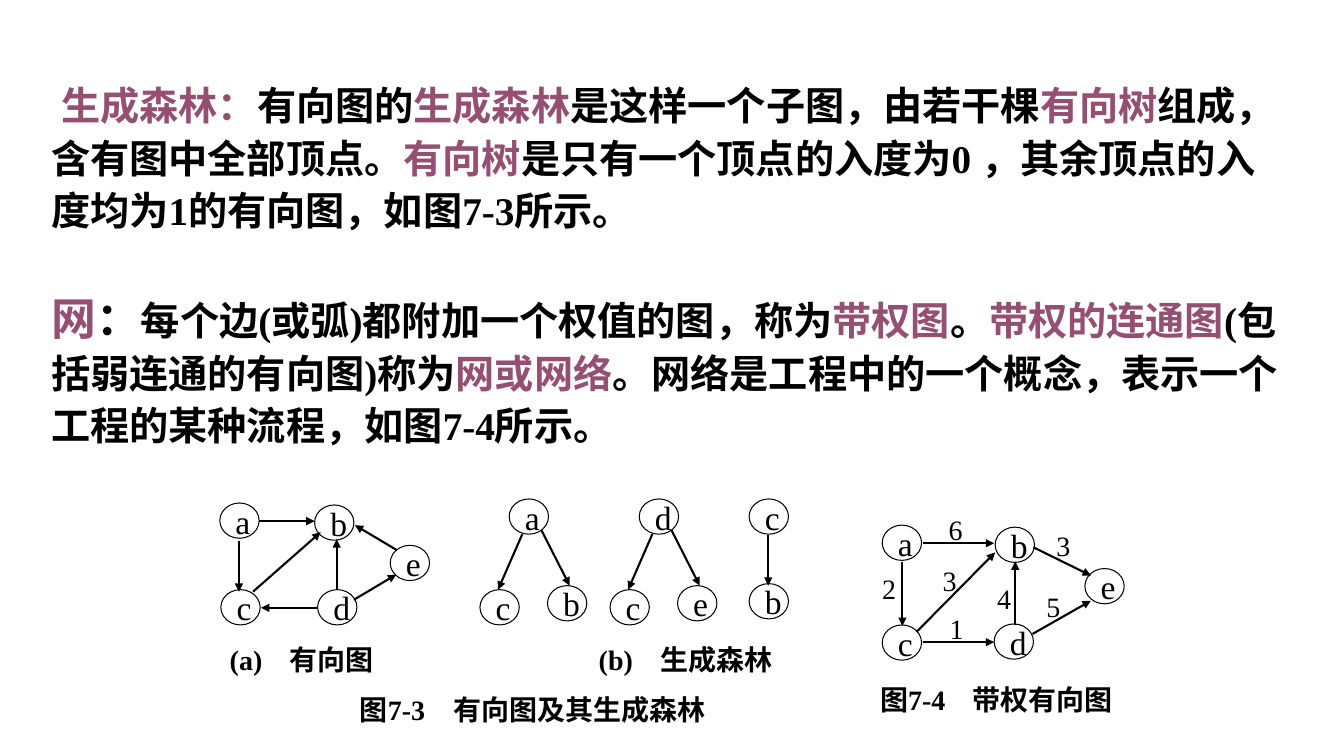
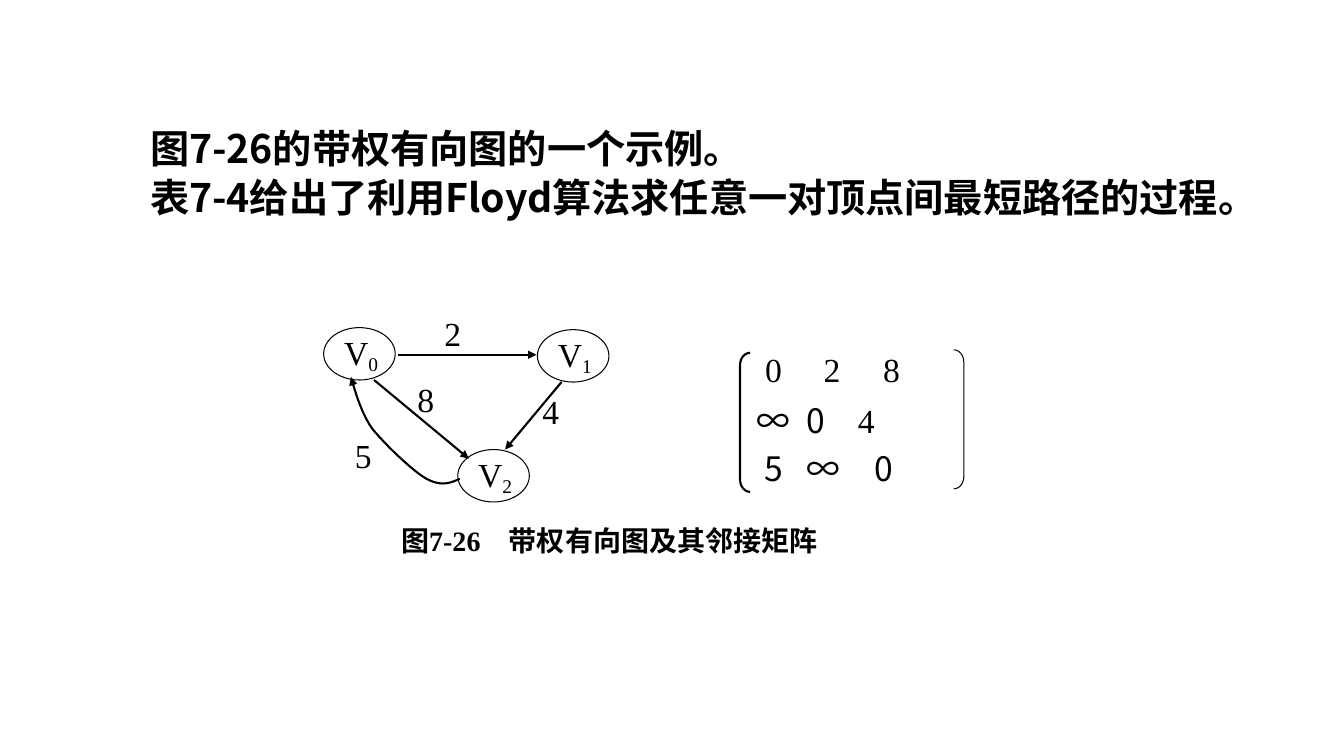
import itertools

import lxml.etree
import pptx
import pptx.dml.color
import pptx.enum.shapes
import pptx.enum.text
import pptx.oxml.ns
import pptx.util

PX = 9144
BLACK = pptx.dml.color.RGBColor(0x00, 0x00, 0x00)
PLUM = pptx.dml.color.RGBColor(0x95, 0x4F, 0x72)
SERIF = "Times New Roman"
SANS = "Noto Sans CJK SC"
SHAPES = pptx.enum.shapes.MSO_SHAPE
TERM = {"color": PLUM}

DEFINITIONS = [
    [
        ("生成森林：", TERM), "有向图的", ("生成森林", TERM),
        "是这样一个子图，由若干棵", ("有向树", TERM),
        "组成，含有图中全部顶点。", ("有向树", TERM),
        "是只有一个顶点的入度为0 ，其余顶点的入度均为1的有向图，如图7-3所示。",
    ],
    [
        ("网", {"color": PLUM, "size": 32}), ("：", {"size": 32}),
        "每个边(或弧)都附加一个权值的图，称为", ("带权图", TERM), "。",
        ("带权的连通图", TERM), "(包括弱连通的有向图)称为", ("网或网络", TERM),
        "。网络是工程中的一个概念，表示一个工程的某种流程，如图7-4所示。",
    ],
]
FLOYD_INTRO = [
    ["图7-26的带权有向图的一个示例。"],
    ["表7-4给出了利用Floyd算法求任意一对顶点间最短路径的过程。"],
]

DIRECTED_NODES = [
    ("a", 218, 499), ("b", 312, 501), ("c", 219, 585), ("d", 315, 585), ("e", 387, 541),
]
DIRECTED_EDGES = [
    (237, 537, 237, 587), (334, 585, 334, 535), (257, 517, 312, 517),
    (314, 603, 259, 603), (251, 587, 318, 528), (351, 595, 393, 570),
    (394, 546, 352, 521),
]
FOREST = [("a", "c", "b", 505), ("d", "c", "e", 634)]
FOREST_TOP = 495
CHAIN_NODES = [("c", 743, 495), ("b", 743, 579)]
CHAIN_EDGES = [(762, 531, 762, 581)]
WEIGHTED_NODES = [
    ("a", 875, 521), ("b", 987, 523), ("c", 875, 620), ("d", 986, 619), ("e", 1076, 564),
]
WEIGHTED_EDGES = [
    (895, 558, 895, 621), (1007, 620, 1007, 557), (915, 539, 986, 539),
    (915, 637, 986, 637), (909, 627, 987, 548), (1024, 629, 1082, 596),
    (1025, 543, 1082, 571),
]
WEIGHTS = [
    ("3", 1038, 525), ("5", 1028, 586), ("4", 979, 578), ("1", 932, 608),
    ("2", 865, 568), ("6", 931, 510), ("3", 925, 560),
]
FOREST_CAPTIONS = [
    ("(a)", "有向图", (218, 637, 180, 35), 59),
    ("(b)", "生成森林", (584, 637, 220, 35), 61),
    ("图7-3", "有向图及其生成森林", (347, 686, 370, 35), 93),
    ("图7-4", "带权有向图", (863, 676, 260, 35), 92),
]

FLOYD_NODES = [("0", 321, 325), ("1", 533, 327), ("2", 454, 446)]
FLOYD_EDGES = [(557, 379, 501, 446), (371, 377, 465, 455), (395, 352, 532, 352)]
FLOYD_WEIGHTS = [("4", 528, 384), ("8", 404, 372), ("2", 431, 306), ("5", 342, 427)]
RETURN_CURVE = [
    ((456, 475), (447, 479), (438, 483), (423, 475)),
    ((423, 475), (409, 467), (382, 441), (369, 425)),
    ((369, 425), (357, 408), (351, 383), (348, 374)),
]
MATRIX = [
    (749, 345, (58, 117), ["0", "2", "8"], SERIF),
    (741, 395, (49, 100), ["∞", "0", ("4", {"font": SERIF})], SANS),
    (748, 443, (42, 110), ["5", "∞", "0"], SANS),
]
BRACKETS = [
    (SHAPES.LEFT_BRACKET, (734, 350, 10, 138), 1.5),
    (SHAPES.RIGHT_BRACKET, (946, 347, 10, 138), 0.75),
]
FLOYD_CAPTION = ("图7-26", "带权有向图及其邻接矩阵", (388, 515, 450, 43), 107)


def px(*lengths):
    return [pptx.util.Emu(length * PX) for length in lengths]


def add_child(parent, tag, **attributes):
    return lxml.etree.SubElement(parent, pptx.oxml.ns.qn(tag), attributes)


def write_text(frame, paragraphs, size=24, font=SERIF, bold=False, color=BLACK,
               wrap=True, middle=True, line=None, before=0, indent=0, tabs=()):
    anchor = pptx.enum.text.MSO_ANCHOR
    frame.word_wrap = wrap
    frame.vertical_anchor = anchor.MIDDLE if middle else anchor.TOP
    for index, spans in enumerate(paragraphs):
        para = frame.add_paragraph() if index else frame.paragraphs[0]
        para.alignment = pptx.enum.text.PP_ALIGN.LEFT
        if line:
            para.line_spacing = pptx.util.Pt(line)
        if index and before:
            para.space_before = pptx.util.Pt(before)
        properties = para._p.get_or_add_pPr()
        if indent and not index:
            properties.set("indent", str(indent * PX))
        if tabs:
            stops = add_child(properties, "a:tabLst")
            for stop in tabs:
                add_child(stops, "a:tab", pos=str(stop * PX), algn="l")
        for item in spans:
            text, changes = (item, {}) if isinstance(item, str) else item
            style = {"size": size, "font": font, "color": color, **changes}
            span = para.add_run()
            span.text = text
            span.font.size = pptx.util.Pt(style["size"])
            span.font.name = style["font"]
            span.font.bold = bold
            span.font.color.rgb = style["color"]
            run_properties = span._r.get_or_add_rPr()
            add_child(run_properties, "a:ea", typeface=SANS)
            if "baseline" in style:
                run_properties.set("baseline", str(style["baseline"] * 1000))


def add_text(page, bounds, paragraphs, **text_format):
    box = page.shapes.add_textbox(*px(*bounds))
    write_text(box.text_frame, paragraphs, **text_format)


def style_line(line, width, arrow=False):
    line.color.rgb = BLACK
    line.width = pptx.util.Pt(width)
    if arrow:
        add_child(line._get_or_add_ln(), "a:tailEnd", type="triangle")


def add_outline(page, kind, bounds, width=0.75):
    shape = page.shapes.add_shape(kind, *px(*bounds))
    shape.shadow.inherit = False
    shape.fill.background()
    style_line(shape.line, width)
    return shape


def add_node(page, spans, left, top, width=39, height=35):
    node = add_outline(page, SHAPES.OVAL, (left, top, width, height))
    write_text(node.text_frame, [spans], wrap=False)


def add_edges(page, edges):
    for edge in edges:
        arrow = page.shapes.add_connector(
            pptx.enum.shapes.MSO_CONNECTOR.STRAIGHT, *px(*edge))
        style_line(arrow.line, 1.5, arrow=True)
        add_child(arrow._element.spPr, "a:effectLst")


def add_graph(page, nodes, edges):
    for name, left, top in nodes:
        add_node(page, [name], left, top)
    add_edges(page, edges)


def add_weights(page, weights, width, height, size):
    for weight, left, top in weights:
        add_text(page, (left, top, width, height), [[weight]], size=size, wrap=False)


def add_caption(page, number, name, bounds, tab):
    add_text(page, bounds, [[f"{number}\t{name}"]], size=20, bold=True, tabs=(tab,))


def add_tree(page, root, left_child, right_child, left):
    top = FOREST_TOP
    nodes = [(root, left, top), (left_child, left - 29, top + 90),
             (right_child, left + 38, top + 86)]
    edges = [(left + 13, top + 35, left - 11, top + 90),
             (left + 32, top + 31, left + 60, top + 86)]
    add_graph(page, nodes, edges)


def curve_points(curves, steps=12):
    for curve, step in itertools.product(curves, range(1, steps + 1)):
        t = step / steps
        factors = ((1 - t) ** 3, 3 * t * (1 - t) ** 2, 3 * t * t * (1 - t), t ** 3)
        yield tuple(
            round(PX * sum(f * point[axis] for f, point in zip(factors, curve)))
            for axis in (0, 1))


def add_curve(page, curves):
    start_x, start_y = px(*curves[0][0])
    builder = page.shapes.build_freeform(start_x, start_y)
    builder.add_line_segments(list(curve_points(curves)), close=False)
    curve = builder.convert_to_shape()
    curve.shadow.inherit = False
    curve.fill.background()
    style_line(curve.line, 1.5, arrow=True)


def build_forest_page(page):
    add_text(page, (41, 71, 1237, 399), DEFINITIONS, size=28, bold=True,
             middle=False, line=37.3, before=42, indent=10)
    add_graph(page, DIRECTED_NODES, DIRECTED_EDGES)
    for tree in FOREST:
        add_tree(page, *tree)
    add_graph(page, CHAIN_NODES, CHAIN_EDGES)
    add_graph(page, WEIGHTED_NODES, WEIGHTED_EDGES)
    add_weights(page, WEIGHTS, 31, 31, 20)
    for caption in FOREST_CAPTIONS:
        add_caption(page, *caption)


def build_floyd_page(page):
    add_text(page, (139, 123, 1090, 115), FLOYD_INTRO, size=28, font=SANS,
             bold=True, middle=False, line=30, before=5)
    for subscript, left, top in FLOYD_NODES:
        add_node(page, ["V", (subscript, {"baseline": -18})], left, top, 71, 52)
    add_edges(page, FLOYD_EDGES)
    add_curve(page, RETURN_CURVE)
    add_weights(page, FLOYD_WEIGHTS, 51, 48, 24)
    for left, top, tabs, cells, font in MATRIX:
        spans = [cells[0]]
        for cell in cells[1:]:
            spans += ["\t", cell]
        add_text(page, (left, top, 194, 43), [spans], font=font, tabs=tabs)
    for kind, bounds, width in BRACKETS:
        bracket = add_outline(page, kind, bounds, width)
        bracket.adjustments[0] = 1.22
    add_caption(page, *FLOYD_CAPTION)


def main():
    deck = pptx.Presentation()
    deck.slide_width, deck.slide_height = px(1333, 750)
    for build in (build_forest_page, build_floyd_page):
        build(deck.slides.add_slide(deck.slide_layouts[6]))
    deck.save("out.pptx")


if __name__ == "__main__":
    main()
